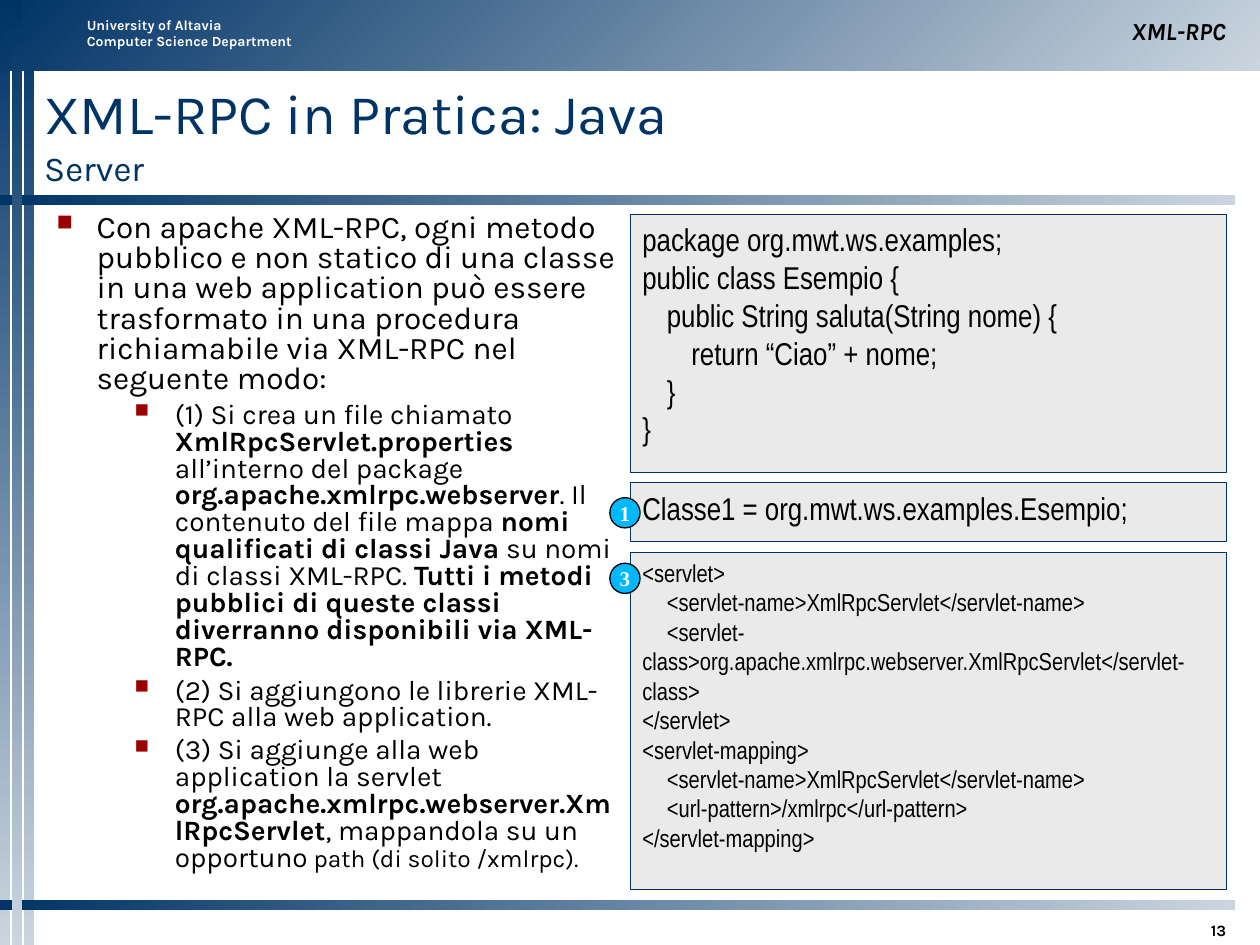
from lxml import etree
from pptx import Presentation
from pptx.dml.color import RGBColor
from pptx.enum.shapes import MSO_SHAPE
from pptx.enum.text import MSO_ANCHOR, MSO_AUTO_SIZE, PP_ALIGN
from pptx.oxml.ns import qn
from pptx.util import Pt

RECT, OVAL = MSO_SHAPE.RECTANGLE, MSO_SHAPE.OVAL
TOP, MID, LOW = MSO_ANCHOR.TOP, MSO_ANCHOR.MIDDLE, MSO_ANCHOR.BOTTOM
LEFT, MIDST, RIGHT = PP_ALIGN.LEFT, PP_ALIGN.CENTER, PP_ALIGN.RIGHT
FIXED = MSO_AUTO_SIZE.NONE

COLORS = {"navy": "003366", "mist": "CBD5DF", "gray": "EAEAEA", "red": "9A0000",
          "cyan": "00B8FF", "black": "000000", "white": "FFFFFF"}
SANS, CODE, SERIF = "Karla", "Arial Narrow", "Times New Roman"

INTRO = ("Con apache XML-RPC, ogni metodo pubblico e non statico di una classe in una "
         "web application può essere trasformato in una procedura richiamabile via "
         "XML-RPC nel seguente modo:")
STEPS = [
    "(1) Si crea un file chiamato *XmlRpcServlet.properties* all’interno del package "
    "*org.apache.xmlrpc.webserver*. Il contenuto del file mappa *nomi qualificati di "
    "classi Java* su nomi di classi XML-RPC. *Tutti i metodi pubblici di queste classi "
    "diverranno disponibili via XML-RPC.*",
    "(2) Si aggiungono le librerie XML-RPC alla web application.",
    "(3) Si aggiunge alla web application la servlet *org.apache.xmlrpc.webserver."
    "XmlRpcServlet*, mappandola su un opportuno** path (di solito /xmlrpc).",
]
CLASS = """package org.mwt.ws.examples;
public class Esempio {
\tpublic String saluta(String nome) {
\t\treturn “Ciao” + nome;
\t}
}"""
PROPS = "Classe1 = org.mwt.ws.examples.Esempio;"
CONFIG = """<servlet>
\t<servlet-name>XmlRpcServlet</servlet-name>
\t<servlet-class>org.apache.xmlrpc.webserver.XmlRpcServlet</servlet-class>
</servlet>
<servlet-mapping>
\t<servlet-name>XmlRpcServlet</servlet-name>
\t<url-pattern>/xmlrpc</url-pattern>
</servlet-mapping>"""


def color(name):
    """Return the named colour."""
    return RGBColor.from_string(COLORS[name])


def style(run, size, face, tint="black", bold=False, slant=False):
    """Format one run."""
    font = run.font
    font.size, font.name, font.bold, font.italic = Pt(size), face, bold, slant
    font.color.rgb = color(tint)


def setup(frame, anchor=TOP, pads=(7.2, 3.6, 7.2, 3.6), wrap=True):
    """Set the margins, anchor and wrap of a text frame."""
    frame.auto_size, frame.word_wrap, frame.vertical_anchor = FIXED, wrap, anchor
    (frame.margin_left, frame.margin_top,
     frame.margin_right, frame.margin_bottom) = map(Pt, pads)


def write(frame, text, size, face, align=LEFT, **look):
    """Fill a frame with text in a single style."""
    frame.text = text
    for para in frame.paragraphs:
        para.alignment = align
        for run in para.runs:
            style(run, size, face, **look)


def add_tag(node, tag, **attrs):
    """Append a DrawingML child."""
    return etree.SubElement(node, qn("a:" + tag), attrs)


def add_text(slide, box):
    """Add a text box and return its frame."""
    return slide.shapes.add_textbox(*map(Pt, box)).text_frame


def add_form(slide, kind, box, fill, edge, width):
    """Add a flat outlined shape."""
    form = slide.shapes.add_shape(kind, *map(Pt, box))
    form.shadow.inherit = False
    form.fill.solid()
    form.fill.fore_color.rgb = color(fill)
    form.line.color.rgb = color(edge)
    form.line.width = Pt(width)
    return form


def add_band(slide, box, angle):
    """Add a bar that fades from navy to mist."""
    band = slide.shapes.add_shape(RECT, *map(Pt, box))
    band.shadow.inherit = False
    band.line.fill.background()
    band.fill.gradient()
    band.fill.gradient_angle = angle
    for stop, name, place in zip(band.fill.gradient_stops, ("navy", "mist"), (0, 1)):
        stop.color.rgb = color(name)
        stop.position = place


def add_frame(slide, box):
    """Add the header, rules and side stripes with their labels."""
    x, y, w, h = box
    stripe, rule = 5.76, 705.6
    for left in (0, 13.68):
        add_band(slide, (x + left, y, stripe, h), 270)
    add_band(slide, (x, y, w, 40.32), 315)
    for top in (111.6, 514.08):
        add_band(slide, (x, y + top, rule, stripe), 0)
    add_band(slide, (x + 6.84, y, stripe, h), 270)
    school = add_text(slide, (x + 42.48, y + 5.76, 133.2, 36))
    setup(school)
    write(school, "University of Altavia\vComputer Science Department", 8, SANS,
          tint="white", bold=True)
    school.paragraphs[0].space_before = Pt(5)
    topic = add_text(slide, (x + 360, y + 5.76, 347.76, 23.76))
    setup(topic, LOW)
    write(topic, "XML-RPC", 14, SANS, RIGHT, bold=True, slant=True)
    page = add_text(slide, (x + 629.28, y + 519.12, 78.48, 18))
    setup(page, LOW, (7.2, 3.6, 7.2, 0))
    write(page, "13", 9, SANS, RIGHT, bold=True)


def set_title(slide, box):
    """Place the title and its smaller second line."""
    title = slide.shapes.title
    title.left, title.top, title.width, title.height = map(Pt, box)
    frame = title.text_frame
    setup(frame, MID, (0, 0, 0, 0))
    write(frame, "XML-RPC in Pratica: Java\vServer", 32, SANS, tint="navy")
    frame.paragraphs[0].runs[1].font.size = Pt(20)


def add_point(para, text, size, indent, gap):
    """Write a bulleted paragraph, with starred parts in bold."""
    para.line_spacing, para.space_before = 0.8, Pt(gap)
    for rank, part in enumerate(text.split("*")):
        if part:
            run = para.add_run()
            run.text = part
            style(run, size, SANS, bold=rank % 2 == 1)
    props = para._p.get_or_add_pPr()
    props.set("marL", str(Pt(indent)))
    props.set("indent", str(Pt(-23)))
    add_tag(add_tag(props, "buClr"), "srgbClr", val=COLORS["red"])
    add_tag(props, "buSzPct", val="70000")
    add_tag(props, "buChar", char="■")


def add_body(slide, box):
    """Add the introduction and its steps."""
    frame = add_text(slide, box)
    setup(frame, pads=(7.2, 0, 7.2, 0))
    add_point(frame.paragraphs[0], INTRO, 18, 23, 4.5)
    for step in STEPS:
        para = frame.add_paragraph()
        para.level = 1
        add_point(para, step, 16, 67.7, 4)
    para.space_before = Pt(3.5)
    para.runs[-1].font.size = Pt(14)


def add_code(slide, box, text, size):
    """Add a panel of code with narrow tab stops."""
    frame = add_form(slide, RECT, box, "gray", "navy", 0.25).text_frame
    setup(frame)
    write(frame, text, size, CODE)
    for para in frame.paragraphs:
        tabs = add_tag(para._p.get_or_add_pPr(), "tabLst")
        for step in range(1, 6):
            add_tag(tabs, "tab", pos=str(Pt(14 * step)), algn="l")


def add_badge(slide, box, text):
    """Add a numbered circle."""
    frame = add_form(slide, OVAL, box, "cyan", "black", 0.75).text_frame
    setup(frame, MID, wrap=False)
    write(frame, text, 12, SERIF, MIDST, tint="white", bold=True)


def add_panels(slide, box):
    """Stack the code panels and mark the last two."""
    x, y, w, h = box
    for top, tall, text, size in ((0, 147.6, CLASS, 18), (153.36, 33.84, PROPS, 18),
                                  (192.96, h - 192.96, CONFIG, 14)):
        add_code(slide, (x, y + top, w, tall), text, size)
    for top, text in ((162, "1"), (199.44, "3")):
        add_badge(slide, (x - 11.52, y + top, 17.28, 17.28), text)


def main():
    """Build and save the slide."""
    deck = Presentation()
    deck.slide_width, deck.slide_height = Pt(720), Pt(540)
    slide = deck.slides.add_slide(deck.slide_layouts[5])
    add_frame(slide, (0, 0, 720, 540))
    set_title(slide, (25.2, 41.76, 682.56, 69.12))
    add_body(slide, (25.2, 122.4, 334.8, 390.24))
    add_panels(slide, (360, 122.4, 340.56, 385.92))
    deck.save("out.pptx")


if __name__ == "__main__":
    main()
